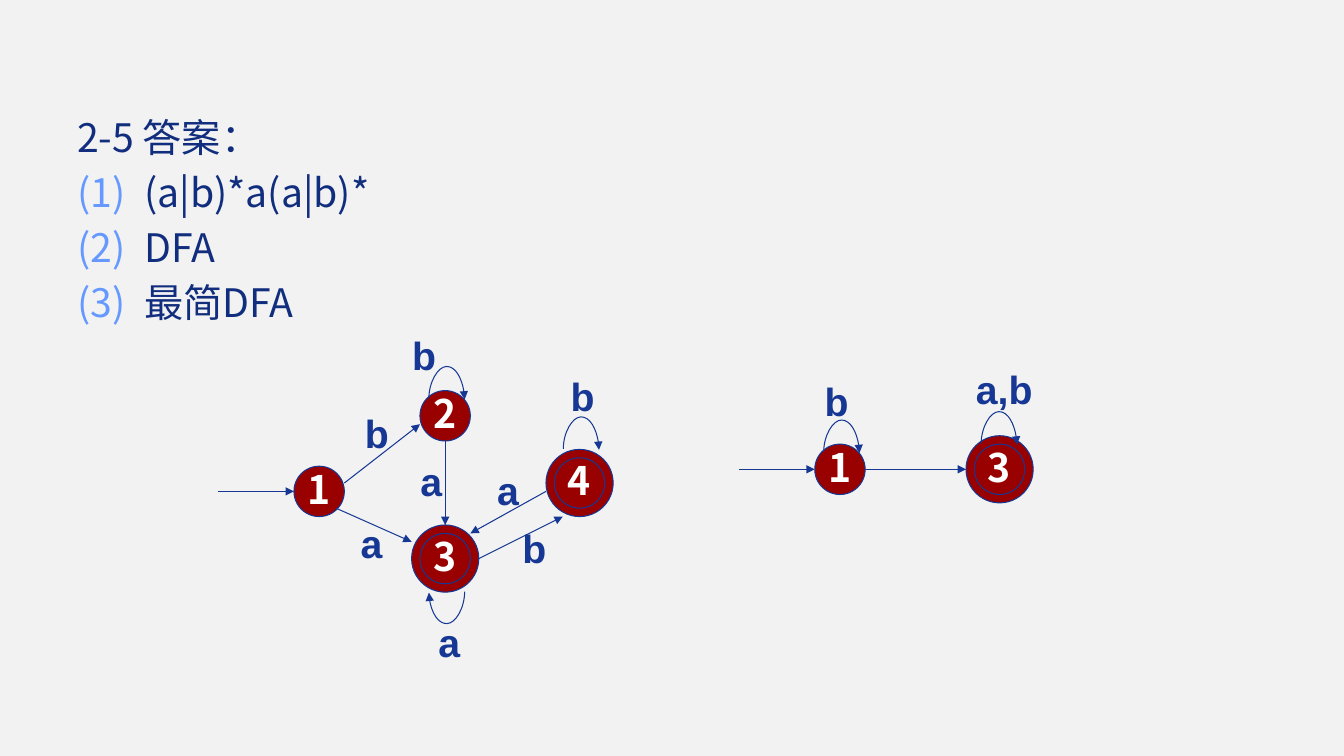
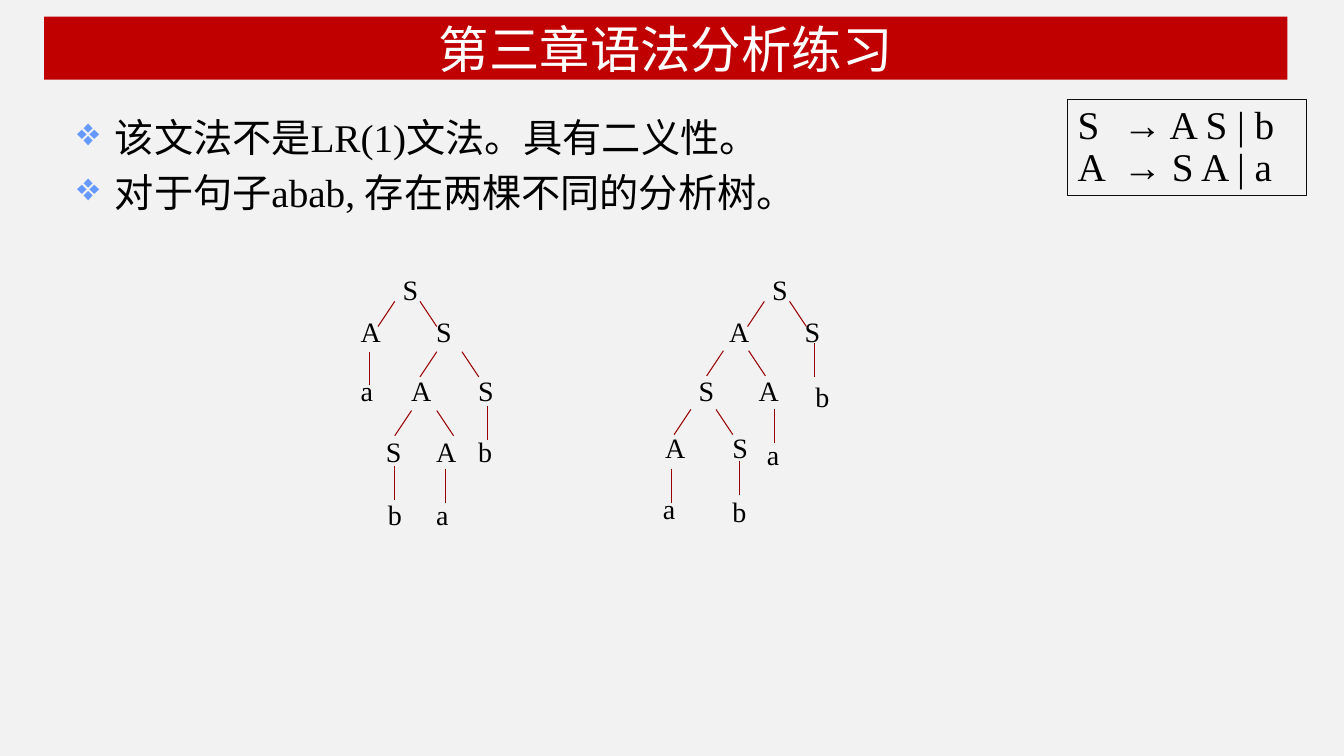
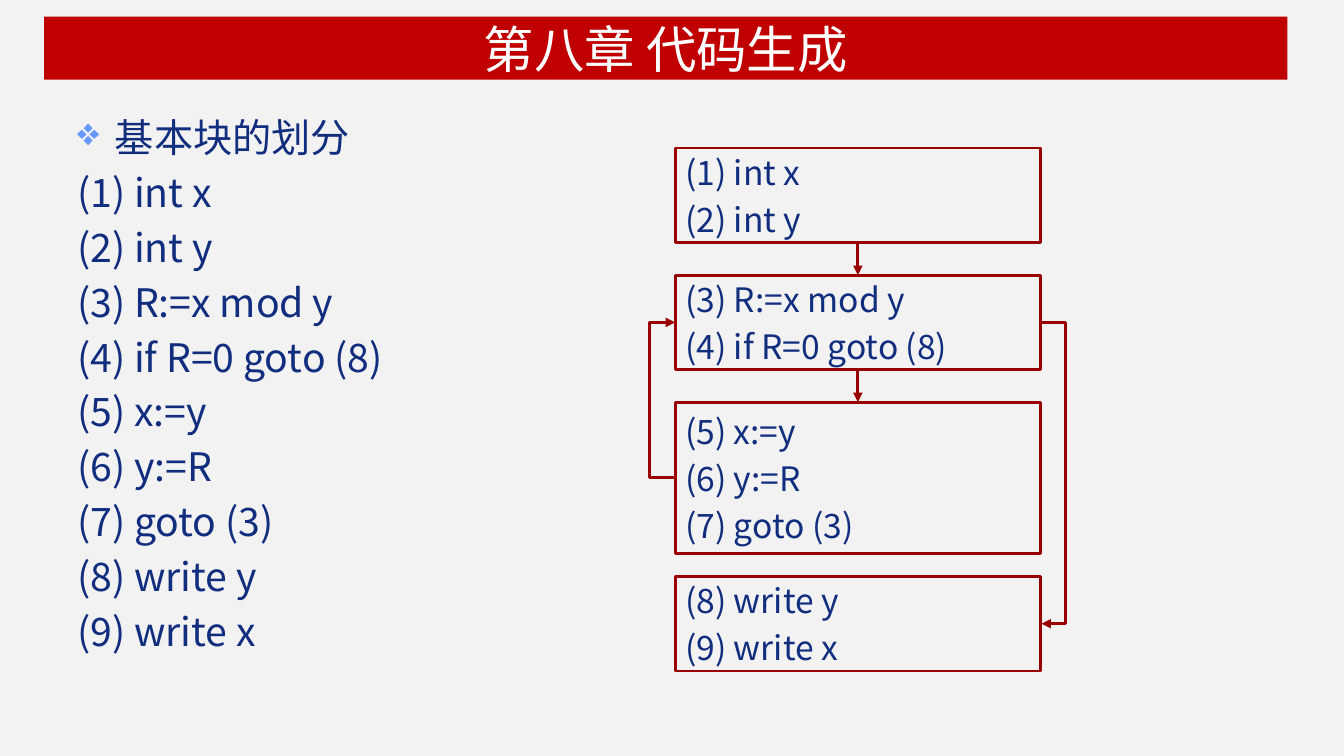
from lxml.etree import SubElement
from pptx import Presentation
from pptx.dml.color import RGBColor
from pptx.enum.shapes import MSO_CONNECTOR, MSO_SHAPE
from pptx.enum.text import MSO_ANCHOR, MSO_AUTO_SIZE, PP_ALIGN
from pptx.oxml.ns import qn
from pptx.util import Pt

PX = 9525  # EMU in one px
SANS, SERIF, LABEL = "Noto Sans CJK SC", "Times New Roman", "Arial"
GROUND, BAND, CRIMSON = "F2F2F2", "C00000", "990000"
NAVY, BLUE, BULLET = "112D7E", "163794", "6699FF"
BLACK, WHITE, FRAME = "000000", "FFFFFF", "0D0D0D"

# Shared text styles
TITLE = dict(size=36, font=SANS, color=WHITE, align=PP_ALIGN.CENTER)
BODY = dict(size=28, font=SANS, color=NAVY, gap=0.2)
SERIF_BODY = dict(size=28, font=SERIF, color=BLACK, gap=0.2)
BLOCK = dict(size=24, font=SANS, color=NAVY, gap=0.2)
STATE = dict(size=28, font=SANS, color=WHITE, bold=True, spacing=0.9, align=PP_ALIGN.CENTER)
EDGE = dict(size=28, font=LABEL, color=BLUE, bold=True, spacing=0.9)
GRAMMAR = dict(size=28, font=SERIF, color=BLACK, spacing=0.9, tab=43)
SYMBOL = dict(size=20, font=SERIF, color=BLACK)

# Slide 1: body lines are (bullet kind, text)
ANSWERS = [(None, "2-5 答案："), ("number", "(a|b)*a(a|b)*"), ("number", "DFA"), ("number", "最简DFA")]
# name, centre x, centre y, accepting
STATES = [("1", 304, 468, False), ("2", 424, 396, False), ("3", 424, 532, True),
          ("4", 552, 460, True), ("1", 800, 447, False), ("3", 952, 447, True)]
TRANSITIONS = [(208, 468, 280, 468), (320, 484, 392, 516), (328, 460, 400, 404),
               (424, 420, 424, 500), (456, 532, 536, 492), (520, 468, 448, 508),
               (704, 447, 776, 447), (824, 447, 920, 447)]
# middle x, y of both ends, bulge (negative is upwards)
LOOPS = [(425, 380, -31), (553, 428, -31), (425, 564, 31), (801, 431, -31), (951, 423, -31)]
EDGE_LABELS = [("a", 334, 495), ("b", 338, 390), ("a", 391, 436), ("b", 383, 316),
               ("b", 488, 500), ("a", 464, 444), ("b", 534, 355), ("a", 408, 589),
               ("b", 776, 360), ("a,b", 920, 348)]
EDGE_WIDTHS = {"a": 40, "b": 42, "a,b": 74}

# Slide 2
PARSING_NOTES = [("diamond", "该文法不是LR(1)文法。具有二义性。"),
                 ("diamond", "对于句子abab, 存在两棵不同的分析树。")]
RULES = [(None, "S\t→ A S | b"), (None, "A\t→ S A | a")]
SYMBOL_WIDTHS = {"S": 35, "A": 38, "a": 31, "b": 33}
TREES = [
    dict(symbols=[("S", 374, 255), ("A", 334, 295), ("S", 406, 295), ("a", 334, 351),
                  ("A", 382, 351), ("S", 446, 351), ("S", 358, 409), ("A", 406, 409),
                  ("b", 446, 409), ("b", 360, 469), ("a", 406, 469)],
         forks=[(388, 287), (428, 335), (404, 391)],
         stems=[(352, 335), (376, 444), (424, 447), (464, 387)]),
    dict(symbols=[("S", 726, 255), ("A", 685, 295), ("S", 757, 295), ("S", 656, 351),
                  ("A", 713, 351), ("b", 767, 357), ("A", 624, 405), ("S", 688, 405),
                  ("a", 721, 412), ("a", 622, 463), ("b", 688, 466)],
         forks=[(740, 287), (701, 334), (670, 390)],
         stems=[(640, 447), (704, 439), (738, 390), (776, 327)]),
]

# Slide 3: basic blocks are (top, height, instructions)
BLOCKS = [(141, 90, ["(1) int x", "(2) int y"]),
          (262, 90, ["(3) R:=x mod y", "(4) if R=0 goto (8)"]),
          (383, 144, ["(5) x:=y", "(6) y:=R", "(7) goto (3)"]),
          (549, 90, ["(8) write y", "(9) write x"])]
BLOCK_LEFT, BLOCK_WIDTH, DETOUR = 643, 348, 24


def rgb(value):
    return RGBColor.from_string(value)


def px(*lengths):
    return [round(length * PX) for length in lengths]


# Text
def add_bullet(para, kind):
    indent = {"number": 64, "diamond": 36}[kind] * PX
    props = para._p.get_or_add_pPr()
    props.set("marL", str(indent))
    props.set("indent", str(-indent))
    SubElement(SubElement(props, qn("a:buClr")), qn("a:srgbClr"), val=BULLET)
    if kind == "number":
        SubElement(props, qn("a:buAutoNum"), type="arabicParenBoth")
    else:
        SubElement(props, qn("a:buChar"), char="❖")


def write(frame, lines, size, font, color, bold=False, gap=0, spacing=None,
          align=PP_ALIGN.LEFT, tab=None):
    for index, (bullet, text) in enumerate(lines):
        para = frame.add_paragraph() if index else frame.paragraphs[0]
        para.text = text
        para.alignment = align
        if spacing:
            para.line_spacing = spacing
        if index and gap:
            para.space_before = Pt(size * gap)
        if bullet:
            add_bullet(para, bullet)
        if tab:
            tabs = SubElement(para._p.get_or_add_pPr(), qn("a:tabLst"))
            SubElement(tabs, qn("a:tab"), pos=str(tab * PX), algn="l")
        para.font.size = Pt(size)
        para.font.bold = bold
        para.font.color.rgb = rgb(color)
        para.font.name = font
        SubElement(para.font._element, qn("a:ea"), typeface=SANS)


def add_text(page, bounds, lines, style, wrap=True):
    box = page.shapes.add_textbox(*px(*bounds))
    box.text_frame.word_wrap = wrap
    if not wrap:
        box.text_frame.auto_size = MSO_AUTO_SIZE.SHAPE_TO_FIT_TEXT
    write(box.text_frame, lines, **style)


# Shapes and lines
def add_box(page, bounds, lines=(), style=None, fill=None, line=None, weight=0.75,
            kind=MSO_SHAPE.RECTANGLE, wrap=True):
    shape = page.shapes.add_shape(kind, *px(*bounds))
    shape.shadow.inherit = False
    if fill:
        shape.fill.solid()
        shape.fill.fore_color.rgb = rgb(fill)
    else:
        shape.fill.background()
    if line:
        shape.line.color.rgb = rgb(line)
        shape.line.width = Pt(weight)
    else:
        shape.line.fill.background()
    if lines:
        shape.text_frame.word_wrap = wrap
        shape.text_frame.vertical_anchor = MSO_ANCHOR.MIDDLE
        write(shape.text_frame, lines, **style)


def add_line(page, ends, color, weight=0.75, arrow=True, kind=MSO_CONNECTOR.STRAIGHT):
    line = page.shapes.add_connector(kind, *px(*ends))
    line.line.color.rgb = rgb(color)
    line.line.width = Pt(weight)
    props = line.element.spPr
    if arrow:
        SubElement(props.find(qn("a:ln")), qn("a:tailEnd"), type="triangle")
    SubElement(props, qn("a:effectLst"))
    return line


def add_detour(page, ends, bulge, rotation, **look):
    """Connector one px wide whose middle runs bulge px outside its box."""
    props = add_line(page, ends, **look).element.spPr
    props.find(qn("a:xfrm")).set("rot", str(rotation * 60000))
    guides = props.find(qn("a:prstGeom")).find(qn("a:avLst"))
    SubElement(guides, qn("a:gd"), name="adj1", fmla=f"val {bulge * 100000}")


def add_body(page, lines, style):
    add_text(page, (64, 103, 1152, 551), lines, style)


def add_title(page, text):
    add_box(page, (42, 16, 1184, 60), [(None, text)], TITLE, fill=BAND)


# Slides
def automata_slide(page):
    add_body(page, ANSWERS, BODY)
    look = dict(fill=CRIMSON, line=BLUE, kind=MSO_SHAPE.OVAL)
    for name, x, y, accepting in STATES:
        if accepting:
            add_box(page, (x - 32, y - 32, 64, 64), **look)
        add_box(page, (x - 24, y - 24, 48, 48), [(None, name)], STATE, wrap=False, **look)
    for ends in TRANSITIONS:
        add_line(page, ends, BLUE)
    for x, y, bulge in LOOPS:
        half = 17 if bulge < 0 else -17
        add_detour(page, (x, y + half, x + 1, y - half), bulge, 90,
                   color=BLUE, kind=MSO_CONNECTOR.CURVE)
    for text, left, top in EDGE_LABELS:
        add_text(page, (left, top, EDGE_WIDTHS[text], 50), [(None, text)], EDGE, wrap=False)


def parse_tree_slide(page):
    for tree in TREES:
        for text, left, top in tree["symbols"]:
            add_text(page, (left, top, SYMBOL_WIDTHS[text], 41), [(None, text)], SYMBOL, wrap=False)
        for x, y in tree["forks"]:
            for side in (-1, 1):
                add_line(page, (x + 12 * side, y, x + 28 * side, y + 24), CRIMSON, arrow=False)
        for x, y in tree["stems"]:
            add_line(page, (x, y, x, y + 32), CRIMSON, arrow=False)
    add_title(page, "第三章语法分析练习")
    add_body(page, PARSING_NOTES, SERIF_BODY)
    add_box(page, (1017, 95, 227, 91), RULES, GRAMMAR, line=FRAME)


def basic_block_slide(page):
    add_title(page, "第八章 代码生成")
    instructions = [(None, text) for _, _, lines in BLOCKS for text in lines]
    add_body(page, [("diamond", "基本块的划分")] + instructions, BODY)
    for top, height, lines in BLOCKS:
        add_box(page, (BLOCK_LEFT, top, BLOCK_WIDTH, height), [(None, text) for text in lines],
                BLOCK, line=CRIMSON, weight=2)

    look = dict(color=CRIMSON, weight=2.25)
    center, right = BLOCK_LEFT + BLOCK_WIDTH // 2, BLOCK_LEFT + BLOCK_WIDTH
    for (top, height, _), (next_top, _, _) in zip(BLOCKS[:2], BLOCKS[1:]):
        add_line(page, (center, top + height, center, next_top), **look)
    test, body, output = [top + height // 2 for top, height, _ in BLOCKS[1:]]
    look["kind"] = MSO_CONNECTOR.ELBOW
    add_detour(page, (BLOCK_LEFT, test, BLOCK_LEFT - 1, body), -DETOUR, 180, **look)
    add_detour(page, (right, test, right + 1, output), DETOUR, 0, **look)


def main():
    deck = Presentation()
    deck.slide_width, deck.slide_height = px(1280, 720)
    ground = deck.slide_master.background.fill
    ground.solid()
    ground.fore_color.rgb = rgb(GROUND)
    for build in (automata_slide, parse_tree_slide, basic_block_slide):
        build(deck.slides.add_slide(deck.slide_layouts[6]))
    deck.save("out.pptx")


if __name__ == "__main__":
    main()
